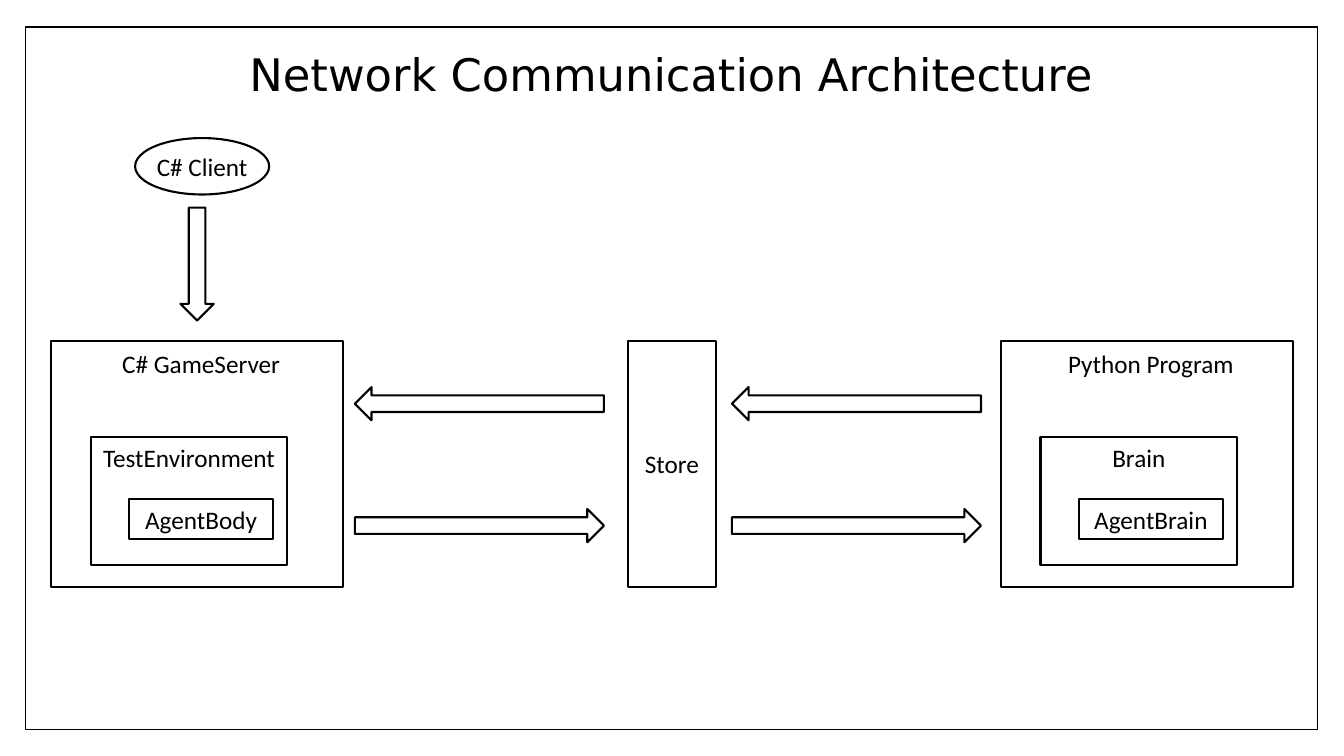
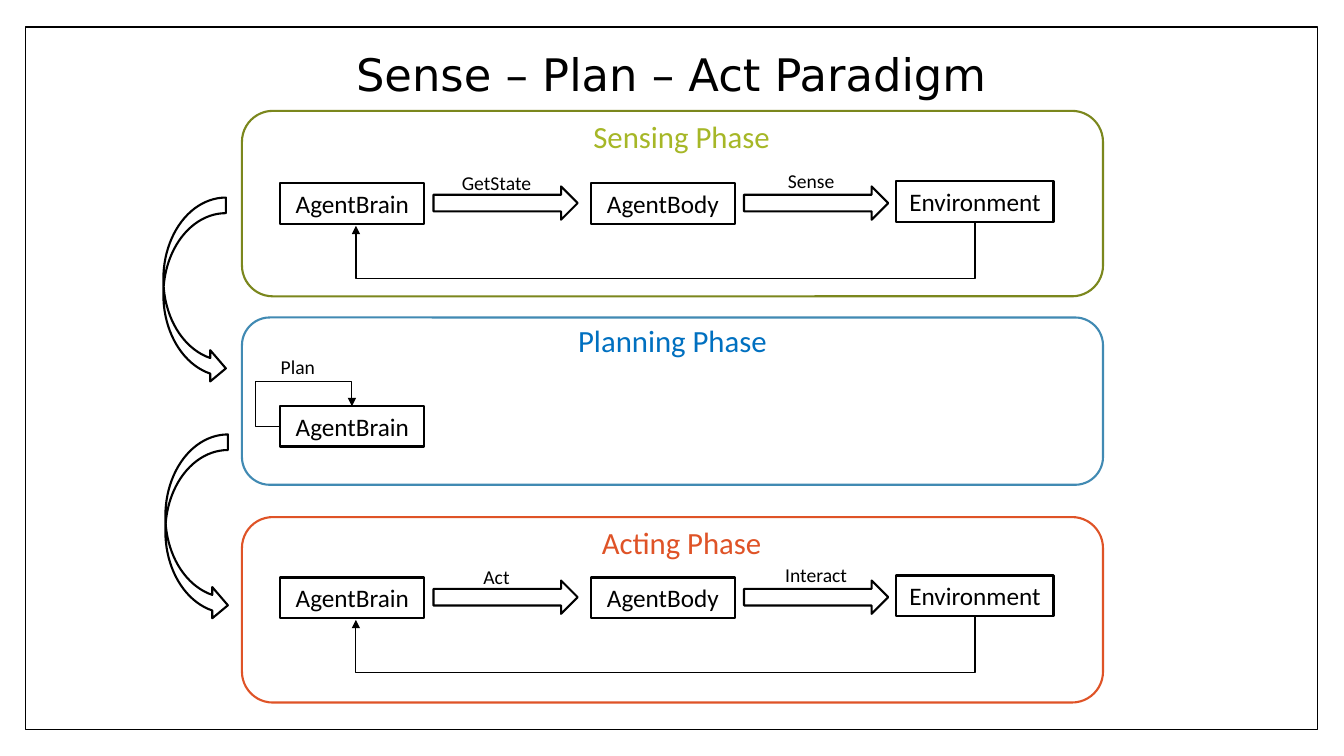
import pptx
import pptx.util
import pptx.dml.color
import pptx.enum.shapes
import pptx.enum.text
import pptx.oxml.ns

Inches, Pt = pptx.util.Inches, pptx.util.Pt
SHAPE = pptx.enum.shapes.MSO_SHAPE
ANCHOR = pptx.enum.text.MSO_ANCHOR
qn = pptx.oxml.ns.qn

COLORS = {
    "ink": "000000",
    "sensing": "7B871D", "sensing_text": "A6B727",
    "planning": "418AB3", "planning_text": "0070C0",
    "acting": "DF5327", "acting_text": "DF5327",
}
BODY_FONT, TITLE_FONT = "Calibri", "DejaVu Sans"
BOX_W, BOX_H, ARROW_H = 1.43, 0.4, 0.33

PROGRAMS = [
    (0.51, ["C# GameServer", "TestEnvironment", "AgentBody"]),
    (9.93, ["Python Program", "Brain", "AgentBrain"]),
]
NESTING = [(0, 0, 2.89, 2.44, 0.08), (0.39, 0.96, 1.95, 1.27, 0.05)]
INNER_OFFSET = (0.77, 1.57)
PROGRAM_TOP = 3.38
MESSAGE_LEFTS = [3.52, 7.26]
MESSAGES = [(SHAPE.LEFT_ARROW, 3.84), (SHAPE.RIGHT_ARROW, 5.05)]

PHASES = [
    {"key": "sensing", "name": "Sensing Phase", "top": 1.1, "height": 1.84,
     "name_at": (5.64, 1.12), "row": 1.82, "steps": [("GetState", 4.21), ("Sense", 7.33)]},
    {"key": "planning", "name": "Planning Phase", "top": 3.15, "height": 1.66,
     "name_at": (5.55, 3.14), "row": 4.03, "steps": []},
    {"key": "acting", "name": "Acting Phase", "top": 5.13, "height": 1.84,
     "name_at": (5.64, 5.14), "row": 5.73, "steps": [("Act", 4.21), ("Interact", 7.38)]},
]
STEP_ARROW_LEFTS = [4.3, 7.38]
PHASE_ARROWS = [(1.62, 1.96), (1.64, 4.31)]


def rgb(name):
    return pptx.dml.color.RGBColor.from_string(COLORS[name])


def write(shape, text, size=18, color="ink", font=BODY_FONT, anchor=ANCHOR.MIDDLE, top=0.05):
    tf = shape.text_frame
    tf.text = text
    tf.word_wrap = False
    tf.vertical_anchor = anchor
    tf.margin_left = tf.margin_right = 0
    tf.margin_top, tf.margin_bottom = Inches(top), Inches(0.05)
    p = tf.paragraphs[0]
    p.alignment = pptx.enum.text.PP_ALIGN.CENTER
    f = p.runs[0].font
    f.name, f.size, f.color.rgb = font, Pt(size), rgb(color)
    return p


def add_outline(s, kind, x, y, w, h, color="ink", width=1.5):
    sp = s.shapes.add_shape(kind, Inches(x), Inches(y), Inches(w), Inches(h))
    sp.shadow.inherit = False
    sp.fill.background()
    sp.line.color.rgb = rgb(color)
    sp.line.width = Pt(width)
    return sp


def add_box(s, text, x, y, w=BOX_W):
    write(add_outline(s, SHAPE.RECTANGLE, x, y, w, BOX_H), text)


def add_text(s, text, x, y, w, h, **style):
    tb = s.shapes.add_textbox(Inches(x), Inches(y), Inches(w), Inches(h))
    return write(tb, text, **style)


def add_bent_arrow(s, begin, end, rotation, preset, adjustments):
    points = [Inches(v) for v in begin + end]
    c = s.shapes.add_connector(pptx.enum.shapes.MSO_CONNECTOR.ELBOW, *points)
    c.line.color.rgb = rgb("ink")
    c.line.width = Pt(0.79)
    props = c._element.spPr
    props.find(qn("a:xfrm")).set("rot", str(rotation * 60000))
    geometry = props.find(qn("a:prstGeom"))
    geometry.set("prst", preset)
    guides = geometry.find(qn("a:avLst"))
    if guides is None:
        guides = geometry.makeelement(qn("a:avLst"), {})
        geometry.append(guides)
    for i, value in enumerate(adjustments, 1):
        guide = guides.makeelement(qn("a:gd"), {"name": f"adj{i}", "fmla": f"val {value}"})
        guides.append(guide)
    line = props.find(qn("a:ln"))
    line.append(line.makeelement(qn("a:tailEnd"), {"type": "triangle"}))
    props.append(props.makeelement(qn("a:effectLst"), {}))


def add_slide(prs, title):
    s = prs.slides.add_slide(prs.slide_layouts[6])
    add_outline(s, SHAPE.RECTANGLE, 0.25, 0.27, 12.82, 6.97, width=1)
    p = add_text(s, title, 0.5, 0.45, 12.32, 0.63, size=32, font=TITLE_FONT)
    p.line_spacing = 0.9
    return s


def build_architecture(prs):
    s = add_slide(prs, "Network Communication Architecture")
    write(add_outline(s, SHAPE.OVAL, 1.34, 1.37, 1.33, 0.56), "C# Client")
    add_outline(s, SHAPE.DOWN_ARROW, 1.79, 2.06, ARROW_H, 1.12)
    write(add_outline(s, SHAPE.RECTANGLE, 6.23, PROGRAM_TOP, 0.87, 2.44), "Store")
    for left, names in PROGRAMS:
        for name, (dx, dy, w, h, inset) in zip(names, NESTING):
            sp = add_outline(s, SHAPE.RECTANGLE, left + dx, PROGRAM_TOP + dy, w, h)
            write(sp, name, anchor=ANCHOR.TOP, top=inset)
            if dx == 0:
                sp.text_frame.margin_left = Inches(0.08)
        dx, dy = INNER_OFFSET
        add_box(s, names[-1], left + dx, PROGRAM_TOP + dy)
    for left in MESSAGE_LEFTS:
        for kind, top in MESSAGES:
            add_outline(s, kind, left, top, 2.47, ARROW_H)


def build_paradigm(prs):
    s = add_slide(prs, "Sense – Plan – Act Paradigm")
    for phase in PHASES:
        key, row = phase["key"], phase["row"]
        add_outline(s, SHAPE.ROUNDED_RECTANGLE, 2.4, phase["top"], 8.54, phase["height"], key)
        add_text(s, phase["name"], *phase["name_at"], 2.24, 0.47, size=22, color=key + "_text")
        add_box(s, "AgentBrain", 2.78, row)
        if phase["steps"]:
            add_box(s, "AgentBody", 5.86, row)
            add_box(s, "Environment", 8.89, row - 0.02, 1.56)
            add_bent_arrow(s, (6.58, row - 2.67), (6.62, row + 3.47), 90,
                           "bentConnector3", [1398200])
        else:
            add_text(s, "Plan", 2.24, 3.47, BOX_W, 0.34, size=14)
            add_bent_arrow(s, (3.49, row), (2.78, row + 0.2), 180,
                           "bentConnector4", [-35000, 223800])
        for i, (label, x) in enumerate(phase["steps"]):
            add_outline(s, SHAPE.RIGHT_ARROW, STEP_ARROW_LEFTS[i], row + 0.03, BOX_W, ARROW_H)
            add_text(s, label, x, row - 0.18 - 0.02 * i, BOX_W, 0.34, size=14)
    for x, y in PHASE_ARROWS:
        add_outline(s, SHAPE.CURVED_RIGHT_ARROW, x, y, 0.62, 1.85)


def main():
    prs = pptx.Presentation()
    prs.slide_width, prs.slide_height = Inches(13.33), Inches(7.5)
    build_architecture(prs)
    build_paradigm(prs)
    prs.save("out.pptx")


if __name__ == "__main__":
    main()
